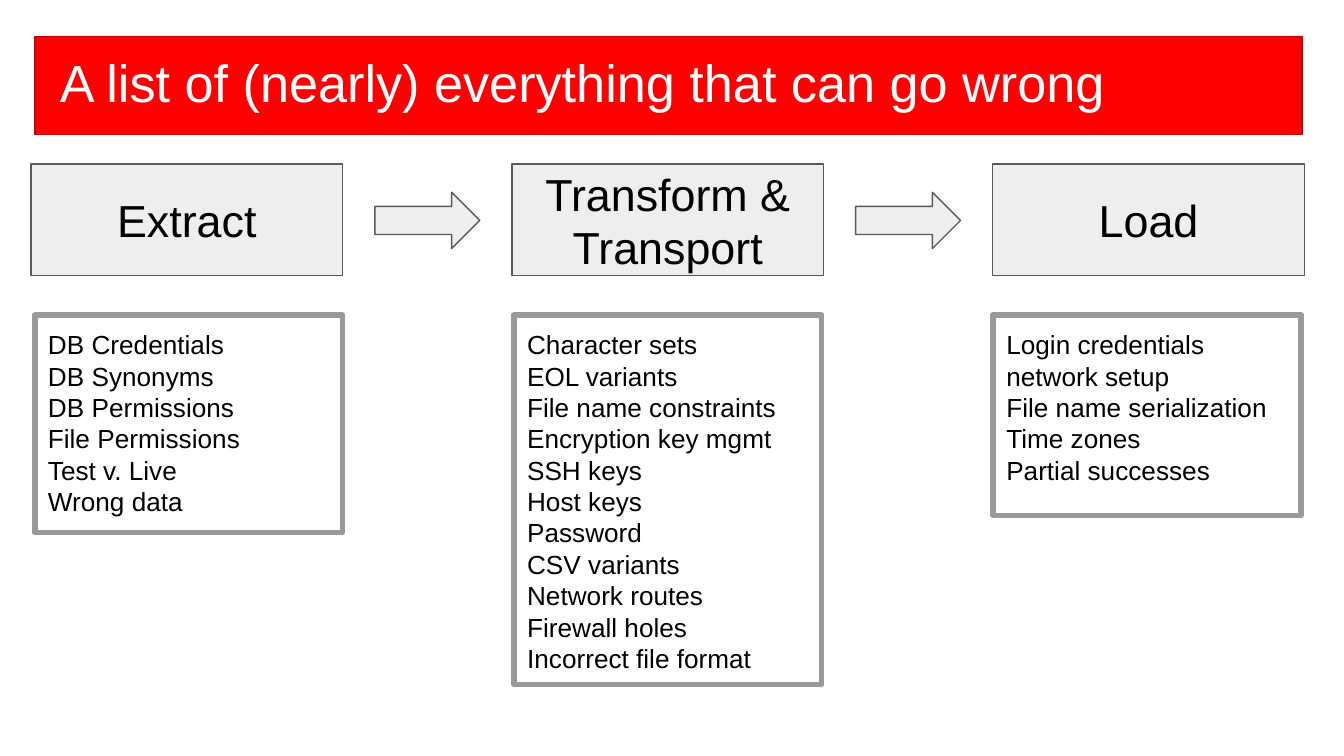
from dataclasses import dataclass

from pptx import Presentation
from pptx.dml.color import RGBColor
from pptx.enum.shapes import MSO_SHAPE
from pptx.enum.text import MSO_ANCHOR, MSO_AUTO_SIZE, PP_ALIGN
from pptx.util import Pt

RECTANGLE = MSO_SHAPE.RECTANGLE
RIGHT_ARROW = MSO_SHAPE.RIGHT_ARROW
TOP, MIDDLE = MSO_ANCHOR.TOP, MSO_ANCHOR.MIDDLE
LEFT, CENTER = PP_ALIGN.LEFT, PP_ALIGN.CENTER
NO_AUTOFIT = MSO_AUTO_SIZE.NONE
TITLE_ONLY = 5


@dataclass(frozen=True)
class Theme:
    """Colours and type of the slide."""
    font: str = "Arial"
    title_size: int = 28
    stage_size: int = 24
    list_size: int = 14
    line_spacing: float = 1.0
    title_text: str = "FFFFFF"
    text: str = "000000"
    banner: str = "FF0000"
    banner_line: str = "CC0000"
    stage: str = "EEEEEE"
    stage_line: str = "595959"
    list_line: str = "999999"


THEME = Theme()
STAGE_LEFT, STAGE_PITCH = 16.6, 257.6
LIST_LEFT, LIST_PITCH = 18.6, 256.7
ARROW_LEAD = 73.4

# Stage name lines, list height, list items
STAGES = [
    (["Extract"], 116.6,
     ["DB Credentials", "DB Synonyms", "DB Permissions", "File Permissions",
      "Test v. Live", "Wrong data"]),
    (["Transform &", "Transport"], 198,
     ["Character sets", "EOL variants", "File name constraints",
      "Encryption key mgmt", "SSH keys", "Host keys", "Password",
      "CSV variants", "Network routes", "Firewall holes",
      "Incorrect file format"]),
    (["Load"], 107.3,
     ["Login credentials", "network setup", "File name serialization",
      "Time zones", "Partial successes"]),
]


def style_box(box, fill, line, weight):
    """Set the fill and outline; no fill colour means a hollow box."""
    if fill:
        box.fill.solid()
        box.fill.fore_color.rgb = RGBColor.from_string(fill)
    else:
        box.fill.background()
    box.line.color.rgb = RGBColor.from_string(line)
    box.line.width = Pt(weight)


def write_lines(box, lines, size, color, align, anchor):
    """Write one paragraph per line into the box."""
    frame = box.text_frame
    frame.word_wrap = True
    frame.auto_size = NO_AUTOFIT
    frame.vertical_anchor = anchor
    frame.margin_left = frame.margin_right = Pt(7.2)
    frame.margin_top = frame.margin_bottom = Pt(7.2)
    for index, line in enumerate(lines):
        para = frame.add_paragraph() if index else frame.paragraphs[0]
        para.alignment = align
        para.line_spacing = THEME.line_spacing
        para.space_before = para.space_after = Pt(0)
        span = para.add_run()
        span.text = line
        span.font.name = THEME.font
        span.font.size = Pt(size)
        span.font.color.rgb = RGBColor.from_string(color)


def add_box(group, kind, left, top, width, height, fill, line, weight=0.75):
    """Add a flat preset shape to the group."""
    box = group.shapes.add_shape(kind, Pt(left), Pt(top), Pt(width), Pt(height))
    box.shadow.inherit = False
    style_box(box, fill, line, weight)
    return box


def add_banner(page, text):
    """Turn the title placeholder into the coloured banner."""
    banner = page.shapes.title
    banner.left, banner.top = Pt(18.7), Pt(19.6)
    banner.width, banner.height = Pt(678.8), Pt(52.6)
    style_box(banner, THEME.banner, THEME.banner_line, 0.75)
    write_lines(banner, [text], THEME.title_size, THEME.title_text, LEFT, TOP)


def add_stage(page, index, name, list_height, items):
    """Add a stage heading, the arrow leading to it and its list."""
    group = page.shapes.add_group_shape()
    left = STAGE_LEFT + index * STAGE_PITCH
    heading = add_box(group, RECTANGLE, left, 88, 167, 59.8,
                      THEME.stage, THEME.stage_line)
    write_lines(heading, name, THEME.stage_size, THEME.text, CENTER, MIDDLE)
    if index:
        add_box(group, RIGHT_ARROW, left - ARROW_LEAD, 103, 56.2, 30.2,
                THEME.stage, THEME.stage_line)
    problems = add_box(group, RECTANGLE, LIST_LEFT + index * LIST_PITCH, 168.8,
                       164.9, list_height, None, THEME.list_line, 3)
    write_lines(problems, items, THEME.list_size, THEME.text, LEFT, TOP)


def main():
    """Build and save the deck."""
    deck = Presentation()
    deck.slide_width, deck.slide_height = Pt(720), Pt(405)
    page = deck.slides.add_slide(deck.slide_layouts[TITLE_ONLY])
    add_banner(page, " A list of (nearly) everything that can go wrong")
    for index, (name, list_height, items) in enumerate(STAGES):
        add_stage(page, index, name, list_height, items)
    deck.save("out.pptx")


main()
